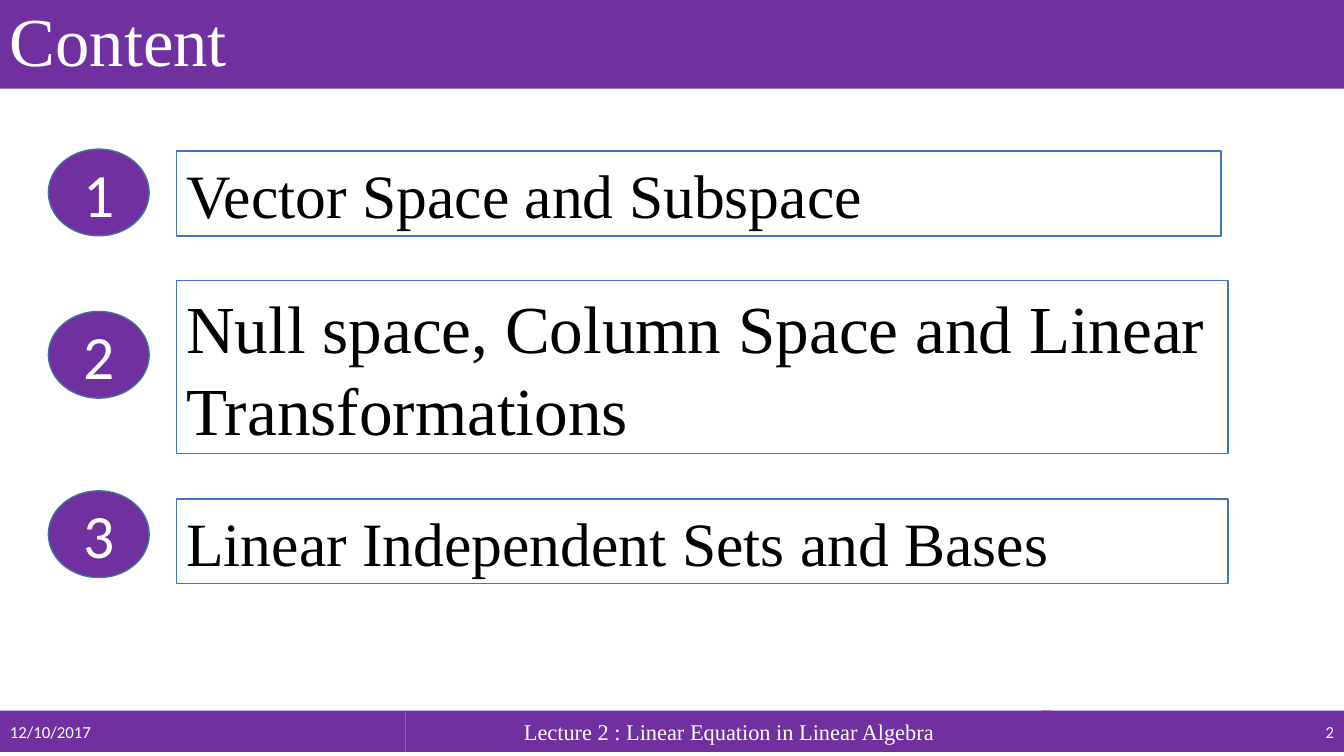
from typing import NamedTuple

import pptx
import pptx.dml.color
import pptx.enum.shapes
import pptx.enum.text
import pptx.util
from pptx.util import Inches

SHAPE = pptx.enum.shapes.MSO_SHAPE
ALIGN = pptx.enum.text.PP_ALIGN
ANCHOR = pptx.enum.text.MSO_ANCHOR

PURPLE, WHITE, BLACK = "7030A0", "FFFFFF", "000000"
BADGE_LINE, BOX_LINE = "41719C", "4472C4"
SANS, SERIF = "Calibri", "Times New Roman"
BOX_LEADING = 1.22


class Style(NamedTuple):
    font: str
    size: float
    color: str = WHITE
    align: ALIGN = ALIGN.LEFT
    anchor: ANCHOR = ANCHOR.MIDDLE
    spacing: float | pptx.util.Length | None = None


class Bar(NamedTuple):
    text: str
    left: float
    top: float
    width: float
    height: float
    style: Style


class Topic(NamedTuple):
    text: str
    badge_top: float
    box_top: float
    box_width: float
    box_height: float
    size: float


def rgb(color: str) -> pptx.dml.color.RGBColor:
    return pptx.dml.color.RGBColor.from_string(color)


def draw(kind: SHAPE, left: float, top: float, width: float, height: float,
         fill: str, line: str | None, text: str, style: Style) -> None:
    sp = s.shapes.add_shape(kind, Inches(left), Inches(top), Inches(width), Inches(height))
    sp.shadow.inherit = False
    sp.fill.solid()
    sp.fill.fore_color.rgb = rgb(fill)
    if line:
        sp.line.color.rgb = rgb(line)
        sp.line.width = pptx.util.Pt(1)
    else:
        sp.line.fill.background()
    tf = sp.text_frame
    tf.text = text
    tf.word_wrap = True
    tf.vertical_anchor = style.anchor
    p = tf.paragraphs[0]
    p.alignment = style.align
    p.line_spacing = style.spacing
    r = p.runs[0]
    r.font.name = style.font
    r.font.size = pptx.util.Pt(style.size)
    r.font.color.rgb = rgb(style.color)


prs = pptx.Presentation()
prs.slide_width, prs.slide_height = Inches(13.33), Inches(7.5)
s = prs.slides.add_slide(prs.slide_layouts[6])

# Title bar and footer
FOOTER_TOP, FOOTER_HEIGHT = 7.05, 0.41
bars = [
    Bar("Content", 0, 0, 13.33, 0.88, Style(SERIF, 49, spacing=0.9)),
    Bar("12/10/2017", 0, FOOTER_TOP, 4.02, FOOTER_HEIGHT, Style(SANS, 12)),
    Bar("Lecture 2 : Linear Equation in Linear Algebra", 4.02, FOOTER_TOP, 6.42,
        FOOTER_HEIGHT, Style(SERIF, 16, align=ALIGN.CENTER)),
    Bar("2", 10.33, FOOTER_TOP, 3, FOOTER_HEIGHT, Style(SANS, 12, align=ALIGN.RIGHT)),
]
for bar in bars:
    draw(SHAPE.RECTANGLE, bar.left, bar.top, bar.width, bar.height,
         PURPLE, None, bar.text, bar.style)

# Numbered topics
topics = [
    Topic("Vector Space and Subspace", 1.48, 1.5, 10.36, 0.84, 44),
    Topic("Null space, Column Space and Linear Transformations", 3.09, 2.78, 10.43, 1.72, 48),
    Topic("Linear Independent Sets and Bases", 4.87, 4.95, 10.43, 0.84, 44),
]
badge_style = Style(SANS, 44, align=ALIGN.CENTER)
for number, topic in enumerate(topics, start=1):
    draw(SHAPE.OVAL, 0.48, topic.badge_top, 1, 0.86, PURPLE, BADGE_LINE,
         str(number), badge_style)
    leading = pptx.util.Pt(topic.size * BOX_LEADING)
    draw(SHAPE.RECTANGLE, 1.75, topic.box_top, topic.box_width, topic.box_height,
         WHITE, BOX_LINE, topic.text,
         Style(SERIF, topic.size, BLACK, anchor=ANCHOR.TOP, spacing=leading))

prs.save("out.pptx")
